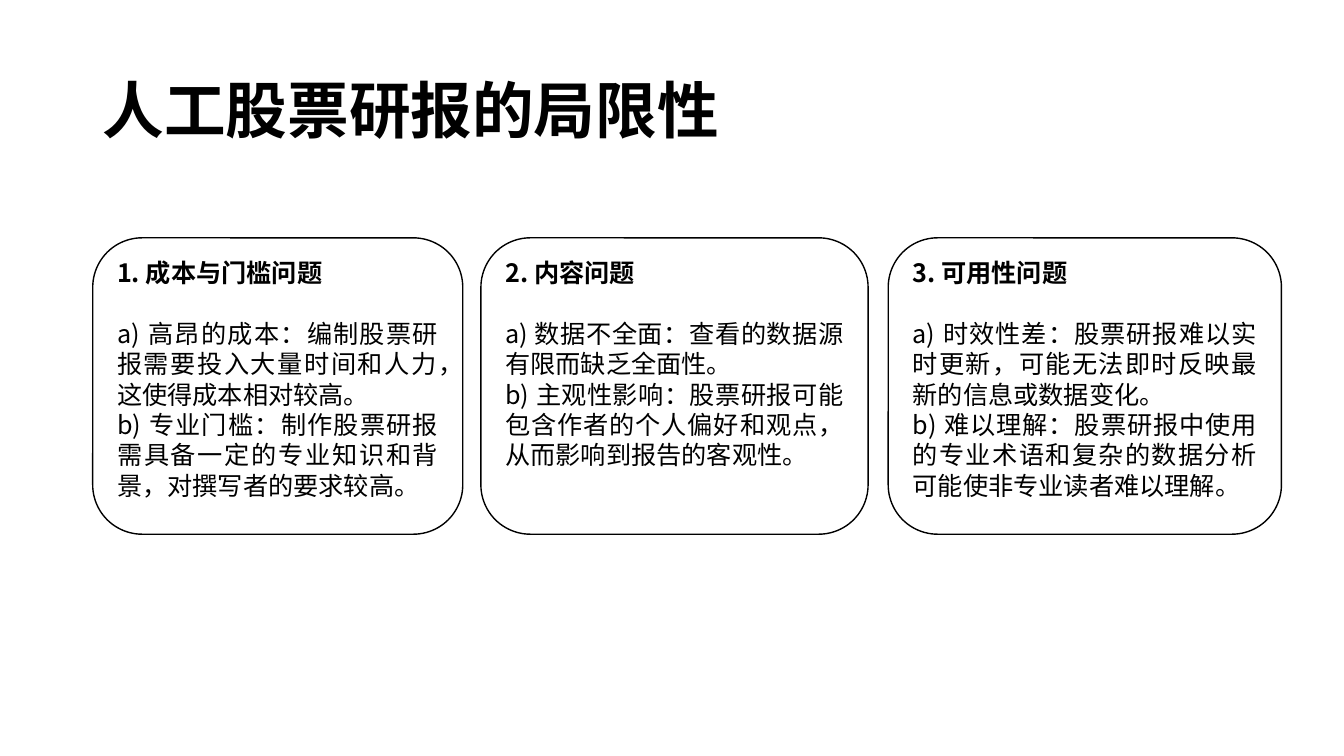
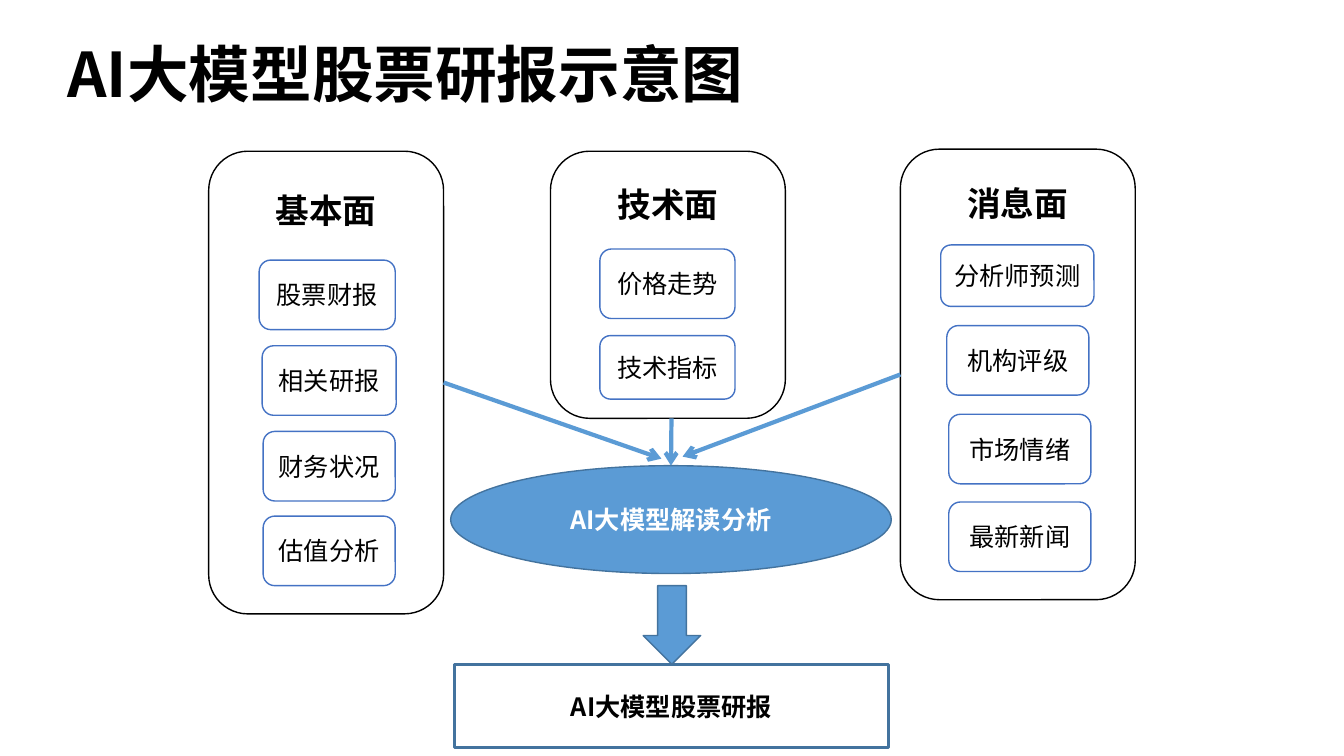
import pptx
import pptx.dml.color
import pptx.enum.shapes
import pptx.enum.text
import pptx.oxml.ns
import pptx.util
from lxml import etree

Inches, Pt = pptx.util.Inches, pptx.util.Pt
SHAPE = pptx.enum.shapes.MSO_SHAPE
ALIGN = pptx.enum.text.PP_ALIGN
ANCHOR = pptx.enum.text.MSO_ANCHOR
qn = pptx.oxml.ns.qn

# Shared look
FONT = "Noto Sans CJK SC"
BLACK, WHITE = "000000", "FFFFFF"
BLUE, DARK_BLUE, CHIP_BLUE = "5B9BD5", "43739E", "4472C4"
TITLE = {"size": Pt(44), "bold": True}
HEADING = {"size": Pt(24), "bold": True}
STRONG = {"size": Pt(18), "bold": True}
BODY = {"size": Pt(18), "bold": False}

# Slide 1: left, width, heading, points
LIMITS = [
    (0.92, 3.67, "1. 成本与门槛问题",
     ["a) 高昂的成本：编制股票研报需要投入大量时间和人力，这使得成本相对较高。",
      "b) 专业门槛：制作股票研报需具备一定的专业知识和背景，对撰写者的要求较高。"]),
    (4.77, 3.84, "2. 内容问题",
     ["a) 数据不全面：查看的数据源有限而缺乏全面性。",
      "b) 主观性影响：股票研报可能包含作者的个人偏好和观点，从而影响到报告的客观性。"]),
    (8.81, 3.9, "3. 可用性问题",
     ["a) 时效性差：股票研报难以实时更新，可能无法即时反映最新的信息或数据变化。",
      "b) 难以理解：股票研报中使用的专业术语和复杂的数据分析可能使非专业读者难以理解。"]),
]

# Slide 2: panel box, heading inset, heading, chips (text, left, top, width, height)
PANELS = [
    ((2.07, 1.5, 2.33, 4.59), 0.27, "基本面",
     [("股票财报", 2.57, 2.58, 1.35, 0.69), ("相关研报", 2.6, 3.43, 1.33, 0.69),
      ("财务状况", 2.61, 4.28, 1.31, 0.69), ("估值分析", 2.61, 5.12, 1.31, 0.69)]),
    ((5.46, 1.5, 2.33, 2.65), 0.21, "技术面",
     [("价格走势", 5.95, 2.47, 1.34, 0.69), ("技术指标", 5.95, 3.33, 1.34, 0.63)]),
    ((8.93, 1.48, 2.33, 4.47), 0.22, "消息面",
     [("分析师预测", 9.33, 2.43, 1.52, 0.61), ("机构评级", 9.39, 3.23, 1.41, 0.69),
      ("市场情绪", 9.41, 4.11, 1.41, 0.69), ("最新新闻", 9.41, 4.98, 1.41, 0.69)]),
]


def rgb(color):
    return pptx.dml.color.RGBColor.from_string(color)


def add_text(p, text, style, color=BLACK, **layout):
    for name, value in layout.items():
        setattr(p, name, value)
    r = p.add_run()
    r.text = text
    for name, value in {"name": FONT, **style}.items():
        setattr(r.font, name, value)
    r.font.color.rgb = rgb(color)
    # East Asian typeface follows the Latin one
    r.font._element.find(qn("a:latin")).addnext(
        etree.Element(qn("a:ea"), typeface=FONT))


def add_box(slide, kind, box, fill=WHITE, line=BLACK, width=1):
    sp = slide.shapes.add_shape(kind, *map(Inches, box))
    sp.shadow.inherit = False
    sp.fill.solid()
    sp.fill.fore_color.rgb = rgb(fill)
    sp.line.color.rgb = rgb(line)
    sp.line.width = Pt(width)
    return sp


def add_label(sp, text, style, color=BLACK, anchor=ANCHOR.MIDDLE):
    tf = sp.text_frame
    tf.word_wrap = True
    tf.vertical_anchor = anchor
    add_text(tf.paragraphs[0], text, style, color, alignment=ALIGN.CENTER)


def add_title(slide, text, left, top):
    sp = slide.shapes.add_textbox(*map(Inches, (left, top, 11.5, 1.45)))
    tf = sp.text_frame
    tf.word_wrap = True
    tf.vertical_anchor = ANCHOR.MIDDLE
    add_text(tf.paragraphs[0], text, TITLE, line_spacing=0.9)


def add_card(slide, left, width, heading, points):
    sp = add_box(slide, SHAPE.ROUNDED_RECTANGLE, (left, 2.36, width, 2.94))
    tf = sp.text_frame
    tf.word_wrap = True
    tf.vertical_anchor = ANCHOR.TOP
    layout = {"alignment": ALIGN.JUSTIFY, "line_spacing": Pt(21.7)}
    add_text(tf.paragraphs[0], heading, STRONG, space_after=Pt(21.7), **layout)
    for point in points:
        add_text(tf.add_paragraph(), point, BODY, **layout)


def add_panel(slide, box, inset, heading, chips):
    panel = add_box(slide, SHAPE.ROUNDED_RECTANGLE, box)
    panel.text_frame.margin_top = Inches(inset)
    add_label(panel, heading, HEADING, anchor=ANCHOR.TOP)
    for text, *chip_box in chips:
        chip = add_box(slide, SHAPE.ROUNDED_RECTANGLE, chip_box, line=CHIP_BLUE)
        chip.text_frame.margin_left = chip.text_frame.margin_right = Inches(0.05)
        add_label(chip, text, BODY)
    return panel


def add_arrow(slide, start, end):
    line = slide.shapes.add_connector(
        pptx.enum.shapes.MSO_CONNECTOR.STRAIGHT, *map(Inches, start + end))
    line.line.color.rgb = rgb(BLUE)
    line.line.width = Pt(3)
    etree.SubElement(line.line._get_or_add_ln(), qn("a:tailEnd"), type="arrow")
    etree.SubElement(line._element.spPr, qn("a:effectLst"))
    return line


def build_limits(slide):
    add_title(slide, "人工股票研报的局限性", 0.92, 0.4)
    for card in LIMITS:
        add_card(slide, *card)


def build_diagram(slide):
    add_title(slide, "AI大模型股票研报示意图", 0.57, 0.04)
    fundamentals, technicals, news = [add_panel(slide, *panel) for panel in PANELS]

    # Analysis and resulting report
    model = add_box(slide, SHAPE.OVAL, (4.47, 4.62, 4.37, 1.07), BLUE, DARK_BLUE)
    add_label(model, "AI大模型解读分析", STRONG, WHITE)
    add_box(slide, SHAPE.DOWN_ARROW, (6.38, 5.81, 0.57, 0.78), BLUE, DARK_BLUE)
    report = add_box(slide, SHAPE.RECTANGLE, (4.51, 6.59, 4.3, 0.83),
                     line=DARK_BLUE, width=2.25)
    add_label(report, "AI大模型股票研报", STRONG)

    # Panels feed the model
    add_arrow(slide, (4.4, 3.79), (6.56, 4.55)).begin_connect(fundamentals, 3)
    add_arrow(slide, (6.66, 4.15), (6.67, 4.62)).end_connect(model, 0)
    add_arrow(slide, (8.93, 3.71), (6.77, 4.53)).begin_connect(news, 1)


def main():
    prs = pptx.Presentation()
    prs.slide_width, prs.slide_height = Inches(13.33), Inches(7.5)
    for build in (build_limits, build_diagram):
        build(prs.slides.add_slide(prs.slide_layouts[6]))
    prs.save("out.pptx")


if __name__ == "__main__":
    main()
